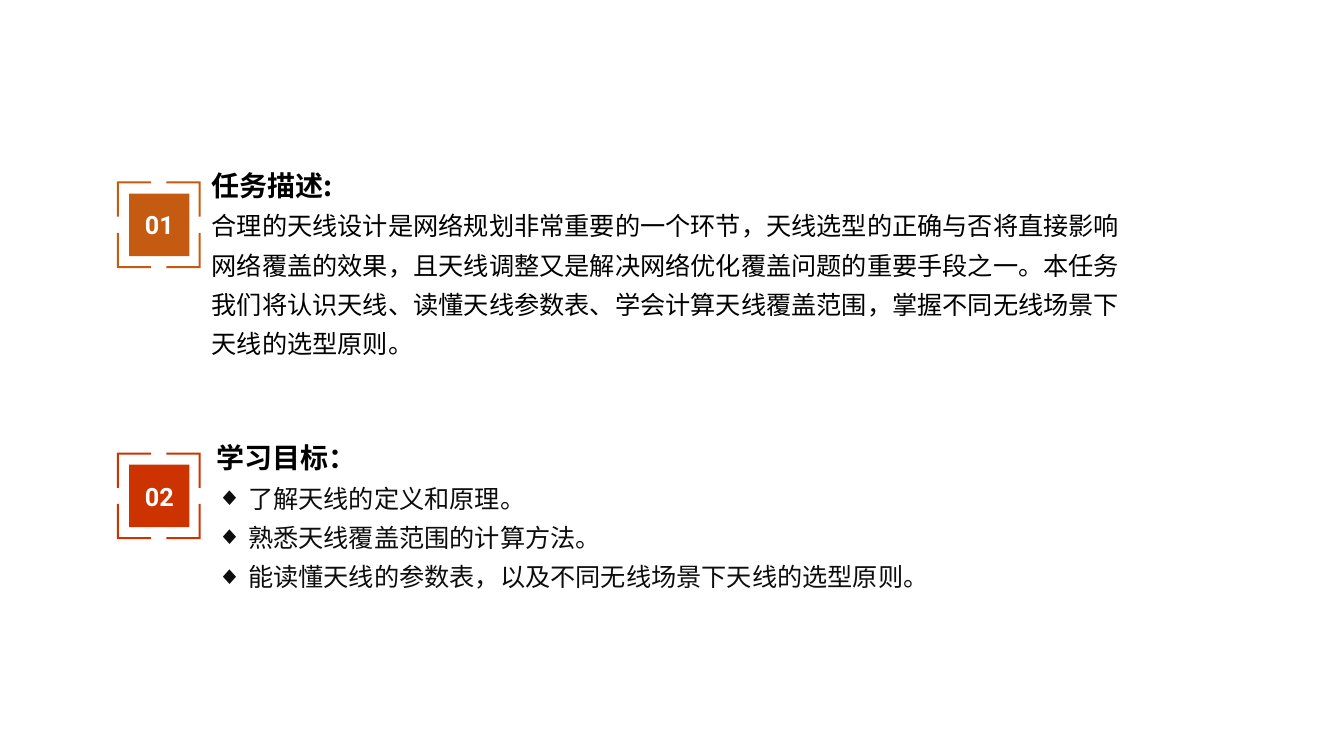
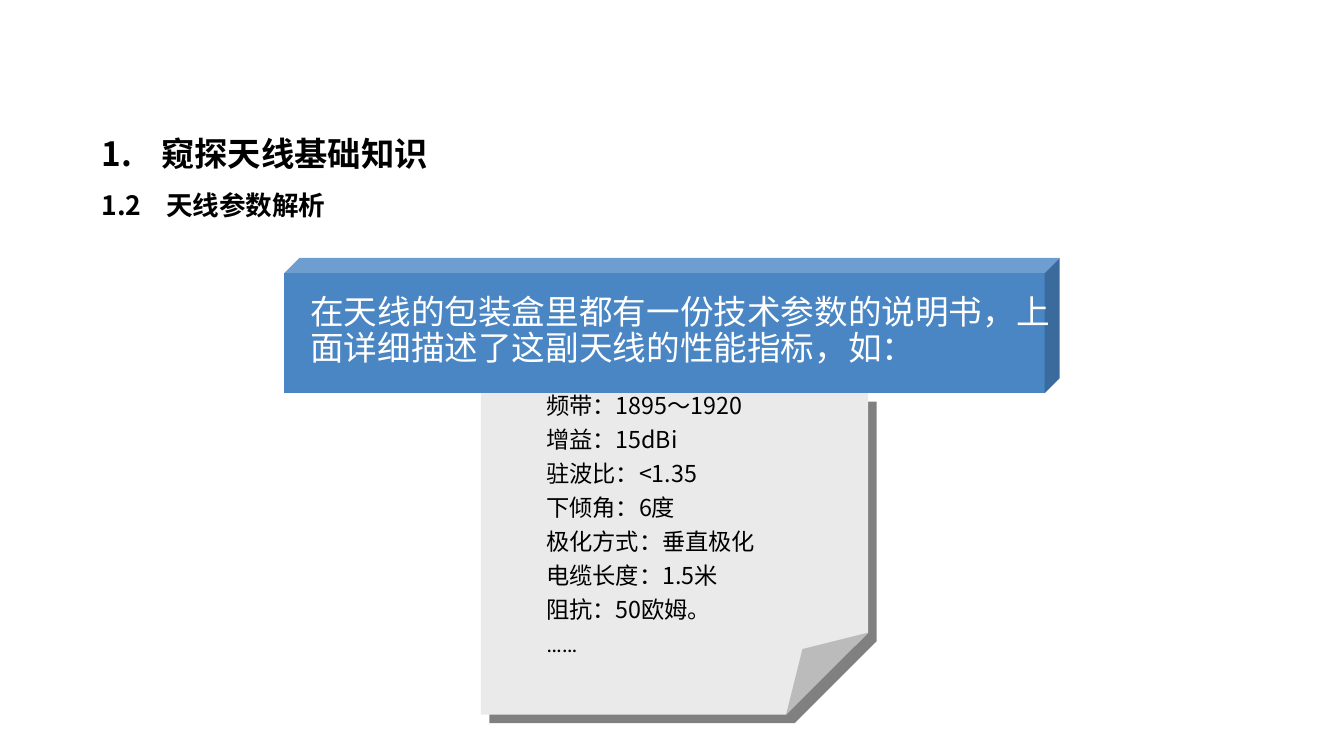
"""Build two slides on antenna tasks and antenna parameters."""
from lxml import etree
from pptx import Presentation
from pptx.dml.color import RGBColor
from pptx.enum.shapes import MSO_SHAPE as SHAPE
from pptx.enum.text import MSO_ANCHOR as ANCHOR, MSO_AUTO_SIZE as AUTO, PP_ALIGN as ALIGN
from pptx.oxml.ns import qn
from pptx.util import Inches, Pt

CJK = "Noto Sans CJK SC"
BLACK, WHITE = "000000", "FFFFFF"
TITLE_ONLY, BLANK = 5, 6


def rgb(value):
    return RGBColor.from_string(value)


def write(tf, text, size=18, font=CJK, color=BLACK, bold=False, align=ALIGN.LEFT,
          line=None, before=0, hang=0, bullet=None, number=None, tab=None):
    p = tf.paragraphs[0]
    if p.runs:
        p = tf.add_paragraph()
        p.space_before = Pt(before)
    p.alignment = align
    p.line_spacing = line
    pPr = p._p.get_or_add_pPr()
    if hang:
        pPr.set("marL", str(Inches(hang)))
        pPr.set("indent", str(-Inches(hang)))
    if bullet:
        etree.SubElement(pPr, qn("a:buFont"), typeface="Arial")
        etree.SubElement(pPr, qn("a:buChar"), char=bullet)
    if number:
        etree.SubElement(pPr, qn("a:buFont"), typeface=font)
        etree.SubElement(pPr, qn("a:buAutoNum"), type=number)
    if tab:
        tabs = etree.SubElement(pPr, qn("a:tabLst"))
        etree.SubElement(tabs, qn("a:tab"), pos=str(Inches(tab)), algn="l")
    r = p.add_run()
    r.text = text
    r.font.size = Pt(size)
    r.font.bold = bold
    r.font.color.rgb = rgb(color)
    r.font.name = font
    etree.SubElement(r._r.get_or_add_rPr(), qn("a:ea"), typeface=font)


prs = Presentation()
prs.slide_width, prs.slide_height = Inches(13.33), Inches(7.5)

s = prs.slides.add_slide(prs.slide_layouts[BLANK])
sections = [
    ("01", "C55A11", 1.8, (2.1, 1.59, 9.12, 1.99), "任务描述:", BLACK, None, [
        "合理的天线设计是网络规划非常重要的一个环节，天线选型的正确与否将直接影响"
        "网络覆盖的效果，且天线调整又是解决网络优化覆盖问题的重要手段之一。本任务"
        "我们将认识天线、读懂天线参数表、学会计算天线覆盖范围，掌握不同无线场景下"
        "天线的选型原则。"]),
    ("02", "CC3300", 4.49, (2.15, 4.08, 9.02, 2.02), "学习目标：", "0D0D0D", "◆", [
        "了解天线的定义和原理。",
        "熟悉天线覆盖范围的计算方法。",
        "能读懂天线的参数表，以及不同无线场景下天线的选型原则。"]),
]
left, width, height = 1.16, 0.83, 0.86
arm_x, arm_y, thick = 0.34, 0.35, 0.02
for num, color, top, area, heading, ink, bullet, lines in sections:
    badge = s.shapes.add_shape(SHAPE.RECTANGLE, Inches(left + 0.12), Inches(top + 0.12),
                               Inches(0.6), Inches(0.62))
    badge.text_frame.vertical_anchor = ANCHOR.MIDDLE
    write(badge.text_frame, num, font="Roboto", color=WHITE, bold=True, align=ALIGN.CENTER)

    builder = None
    for x, dx in ((left, 1), (left + width, -1)):
        for y, dy in ((top, 1), (top + height, -1)):
            corner = [(Inches(x + dx * u), Inches(y + dy * v)) for u, v in (
                (0, 0), (arm_x, 0), (arm_x, thick), (thick, thick), (thick, arm_y), (0, arm_y))]
            if builder is None:
                builder = s.shapes.build_freeform(*corner[0])
            else:
                builder.move_to(*corner[0])
            builder.add_line_segments(corner[1:], close=True)
    frame = builder.convert_to_shape()
    for shape in (badge, frame):
        shape.shadow.inherit = False
        shape.fill.solid()
        shape.fill.fore_color.rgb = rgb(color)
        shape.line.fill.background()

    tf = s.shapes.add_textbox(*map(Inches, area)).text_frame
    tf.word_wrap = True
    tf.vertical_anchor = ANCHOR.MIDDLE
    tf.margin_left = tf.margin_right = tf.margin_top = tf.margin_bottom = 0
    write(tf, heading, size=20, bold=True, line=Pt(28))
    for text in lines:
        write(tf, text, color=ink, line=Pt(28), bullet=bullet, hang=0.31 if bullet else 0)

s = prs.slides.add_slide(prs.slide_layouts[TITLE_ONLY])
title = s.shapes.title
title.left, title.top, title.width, title.height = map(Inches, (0.91, 1.22, 4.02, 0.6))
title.text_frame.auto_size = AUTO.NONE
title.text_frame.vertical_anchor = ANCHOR.MIDDLE
write(title.text_frame, "窥探天线基础知识", size=23.8, bold=True, hang=0.59, number="arabicPeriod")

for kind, area, adjust, color in (
        (SHAPE.FOLDED_CORNER, (4.77, 3.9, 3.84, 3.19), 25500, "EAEAEA"),
        (SHAPE.CUBE, (2.82, 2.56, 7.69, 1.34), 11100, "4986C3")):
    shape = s.shapes.add_shape(kind, *map(Inches, area))
    guides = shape._element.spPr.find(qn("a:prstGeom")).find(qn("a:avLst"))
    guides.clear()
    etree.SubElement(guides, qn("a:gd"), name="adj", fmla=f"val {adjust}")
    shape.shadow.inherit = False
    shape.fill.solid()
    shape.fill.fore_color.rgb = rgb(color)
    shape.line.fill.background()
    if kind == SHAPE.FOLDED_CORNER:
        effects = shape._element.spPr.find(qn("a:effectLst"))
        shadow = etree.SubElement(effects, qn("a:outerShdw"), dist=str(Pt(8.5)),
                                  dir="2700000", algn="ctr", rotWithShape="0")
        etree.SubElement(shadow, qn("a:srgbClr"), val="808080")

specs = ["频带：1895～1920", "增益：15dBi", "驻波比：<1.35", "下倾角：6度",
         "极化方式：垂直极化", "电缆长度：1.5米", "阻抗：50欧姆。", "……"]
intro = "在天线的包装盒里都有一份技术参数的说明书，上面详细描述了这副天线的性能指标，如："
spec_format = dict(size=16.6, align=ALIGN.JUSTIFY, line=0.9, before=6.4, hang=0.25)
for area, anchor, lines, style in (
        ((0.91, 1.78, 4.02, 0.5), ANCHOR.MIDDLE, ["1.2\t天线参数解析"],
         dict(size=19, bold=True, tab=0.64)),
        ((5.32, 3.86, 2.84, 3.2), ANCHOR.TOP, specs, spec_format),
        ((2.98, 2.88, 7.53, 0.83), ANCHOR.TOP, [intro],
         dict(size=24, font="Arial", color=WHITE, line=0.9))):
    tf = s.shapes.add_textbox(*map(Inches, area)).text_frame
    tf.word_wrap = True
    tf.vertical_anchor = anchor
    for text in lines:
        write(tf, text, **{**style, **({"font": "Roboto"} if text == "……" else {})})

prs.save("out.pptx")
